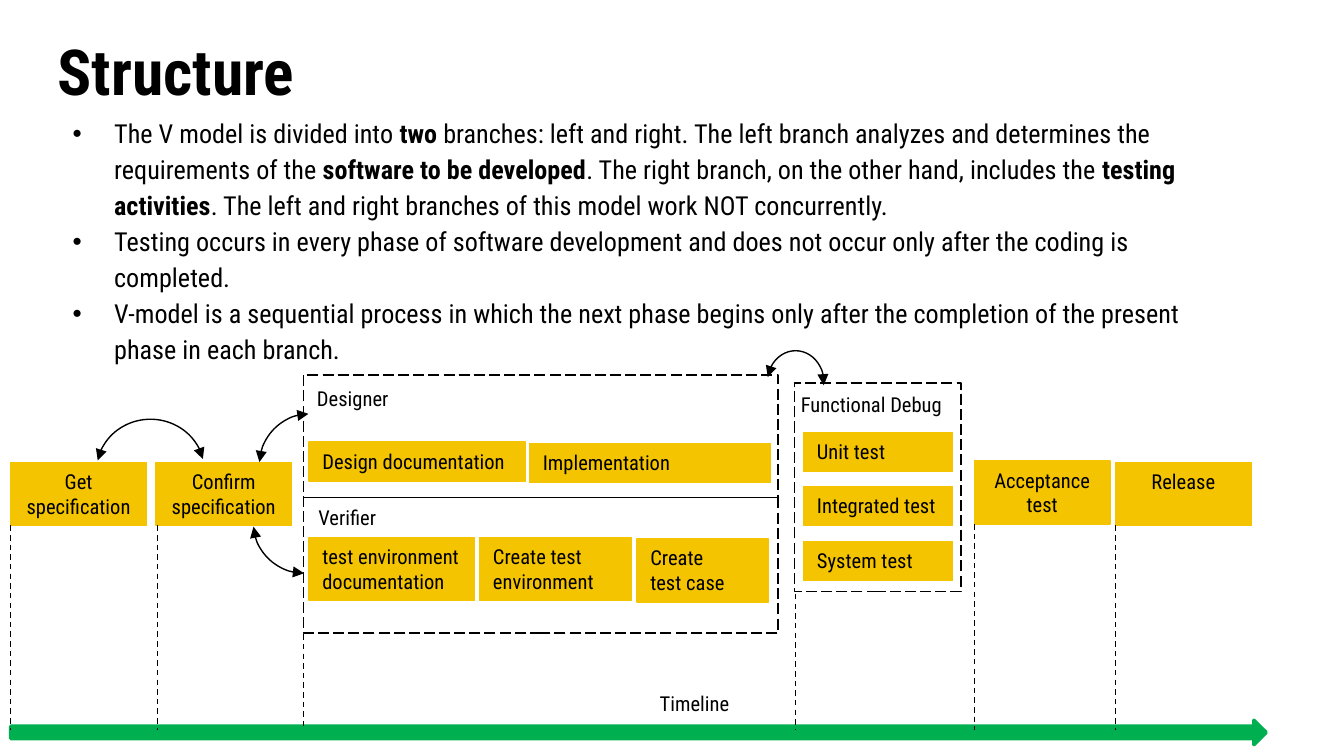
from lxml.etree import SubElement
from pptx import Presentation
from pptx.dml.color import RGBColor
from pptx.enum.dml import MSO_LINE
from pptx.enum.shapes import MSO_CONNECTOR, MSO_SHAPE
from pptx.enum.text import MSO_ANCHOR, PP_ALIGN
from pptx.oxml.ns import qn
from pptx.util import Inches, Pt

BLACK = RGBColor(0x00, 0x00, 0x00)
YELLOW = RGBColor(0xF5, 0xC4, 0x00)
GREEN = RGBColor(0x00, 0xB0, 0x50)
COLUMNS, ROWS = 100, 56.25
PHASE_WIDTH, ONE_LINE, TWO_LINES = 10.1, 2.9, 4.7


class Diagram:
    font_name = "Roboto Condensed"
    label_size = 11
    line_width = 0.75

    def __init__(self, deck):
        self.page = deck.slides.add_slide(deck.slide_layouts[6])
        self.column = deck.slide_width / COLUMNS
        self.row = deck.slide_height / ROWS

    def place(self, left, top, width, height):
        return (round(left * self.column), round(top * self.row),
                round(width * self.column), round(height * self.row))

    def frame(self, box, anchor=MSO_ANCHOR.TOP, side=0.1, edge=0.05):
        frame = box.text_frame
        frame.word_wrap = True
        frame.vertical_anchor = anchor
        frame.margin_left = frame.margin_right = Inches(side)
        frame.margin_top = frame.margin_bottom = Inches(edge)
        return frame

    def style(self, para, size, bold=None):
        para.font.name = self.font_name
        para.font.size = Pt(size)
        para.font.color.rgb = BLACK
        para.font.bold = bold

    def caption(self, box, text, align=PP_ALIGN.LEFT):
        frame = self.frame(box)
        frame.text = text
        for para in frame.paragraphs:
            para.alignment = align
            self.style(para, self.label_size)

    def title(self, text, *area):
        box = self.page.shapes.add_textbox(*self.place(*area))
        frame = self.frame(box, MSO_ANCHOR.MIDDLE, 0.07, 0.04)
        frame.text = text
        para = frame.paragraphs[0]
        para.line_spacing = 0.9
        self.style(para, 34, True)

    def bullets(self, items, *area):
        box = self.page.shapes.add_textbox(*self.place(*area))
        frame = self.frame(box, side=0.07, edge=0.04)
        for index, item in enumerate(items):
            para = frame.add_paragraph() if index else frame.paragraphs[0]
            para.line_spacing = 1.15
            properties = para._p.get_or_add_pPr()
            properties.set("marL", str(Inches(0.56)))
            properties.set("indent", str(Inches(-0.31)))
            color = SubElement(properties, qn("a:buClr"))
            SubElement(color, qn("a:srgbClr"), val=str(BLACK))
            SubElement(properties, qn("a:buFont"), typeface="Arial")
            SubElement(properties, qn("a:buChar"), char="•")
            self.style(para, 14)
            for position, text in enumerate(item):
                span = para.add_run()
                span.text = text
                span.font.bold = position % 2 == 1

    def label(self, text, *area):
        self.caption(self.page.shapes.add_textbox(*self.place(*area)), text)

    def shape(self, kind, area, line, width=line_width, fill=None):
        shape = self.page.shapes.add_shape(kind, *self.place(*area))
        shape.shadow.inherit = False
        if fill is None:
            shape.fill.background()
        else:
            shape.fill.solid()
            shape.fill.fore_color.rgb = fill
        shape.line.color.rgb = line
        shape.line.width = Pt(width)
        return shape

    def block(self, text, *area, align=PP_ALIGN.LEFT):
        box = self.shape(MSO_SHAPE.RECTANGLE, area, YELLOW, fill=YELLOW)
        self.caption(box, text, align)

    def phase(self, text, left, top):
        self.block(text, left, top, PHASE_WIDTH, TWO_LINES, align=PP_ALIGN.CENTER)

    def group_border(self, *area):
        border = self.shape(MSO_SHAPE.RECTANGLE, area, BLACK)
        border.line.dash_style = MSO_LINE.LONG_DASH

    def timeline(self, *area):
        self.shape(MSO_SHAPE.RIGHT_ARROW, area, GREEN, 2, GREEN)

    def drop_line(self, left, top, bottom):
        x, start, _, end = self.place(left, top, 0, bottom)
        line = self.page.shapes.add_connector(MSO_CONNECTOR.STRAIGHT, x, start, x, end)
        line.line.color.rgb = BLACK
        line.line.width = Pt(self.line_width)
        line.line.dash_style = MSO_LINE.DASH
        SubElement(line._element.spPr, qn("a:effectLst"))

    def double_arrow(self, area, start, end, rotation=0):
        arc = self.shape(MSO_SHAPE.ARC, area, BLACK)
        arc.adjustments[0] = start
        arc.adjustments[1] = end
        arc.rotation = rotation
        outline = arc._element.spPr.find(qn("a:ln"))
        for tag in ("a:headEnd", "a:tailEnd"):
            SubElement(outline, qn(tag), type="triangle")


def main():
    deck = Presentation()
    deck.slide_width, deck.slide_height = Inches(10), Inches(5.625)
    diagram = Diagram(deck)

    diagram.title("Structure", 3.6, 2.1, 92.8, 6.9)
    diagram.bullets([
        ["The V model is divided into ", "two",
         " branches: left and right. The left branch analyzes and determines the "
         "requirements of the ", "software to be developed",
         ". The right branch, on the other hand, includes the ", "testing activities",
         ". The left and right branches of this model work NOT concurrently."],
        ["Testing occurs in every phase of software development and does not occur "
         "only after the coding is completed."],
        ["V-model is a sequential process in which the next phase begins only after "
         "the completion of the present phase in each branch."],
    ], 2.2, 8, 91, 19.4)

    diagram.timeline(0.8, 53.6, 93.4, 1.8)
    diagram.label("Timeline", 48.1, 50.9, 11.7, ONE_LINE)

    for text, left, top in [
        ("Get specification", 0.8, 34.4),
        ("Confirm specification", 11.6, 34.4),
        ("Acceptance test", 72.5, 34.3),
        ("Release", 83, 34.4),
    ]:
        diagram.phase(text, left, top)

    for text, left, top, width, height in [
        ("Design documentation", 23, 32.9, 16.1, ONE_LINE),
        ("Implementation", 39.4, 33, 17.9, ONE_LINE),
        ("test environment documentation", 23, 40, 12.3, TWO_LINES),
        ("Create test environment", 35.7, 40, 11.3, TWO_LINES),
        ("Create\ntest case", 47.4, 40.1, 9.8, TWO_LINES),
        ("Unit test", 59.8, 32.2, 11.1, ONE_LINE),
        ("Integrated test", 59.8, 36.2, 11.1, ONE_LINE),
        ("System test", 59.8, 40.3, 11.1, ONE_LINE),
    ]:
        diagram.block(text, left, top, width, height)

    for area in [(22.6, 27.9, 35.3, 9.1), (22.6, 37, 35.3, 10.1), (59.1, 28.5, 12.4, 15.5)]:
        diagram.group_border(*area)

    for text, left, top, width in [
        ("Designer", 22.6, 28.2, 9.1),
        ("Verifier", 22.7, 37.1, 9.1),
        ("Functional Debug", 58.6, 28.7, 12.9),
    ]:
        diagram.label(text, left, top, width, ONE_LINE)

    for left, top in [(0.8, 39.1), (11.7, 39.1), (22.6, 47.2),
                      (59.2, 44.2), (72.5, 39), (83, 39.1)]:
        diagram.drop_line(left, top, 54.3)

    diagram.double_arrow((7.2, 31.2, 8, 7.6), 114.39, 208.68)
    diagram.double_arrow((19.3, 30.8, 7.5, 7.6), 109.98, 161.09)
    diagram.double_arrow((18.9, 35.1, 7.5, 7.6), 109.98, 161.09, 267.2)
    diagram.double_arrow((57.1, 26.1, 4.2, 4.7), 114.39, 3.61)

    deck.save("out.pptx")


if __name__ == "__main__":
    main()
